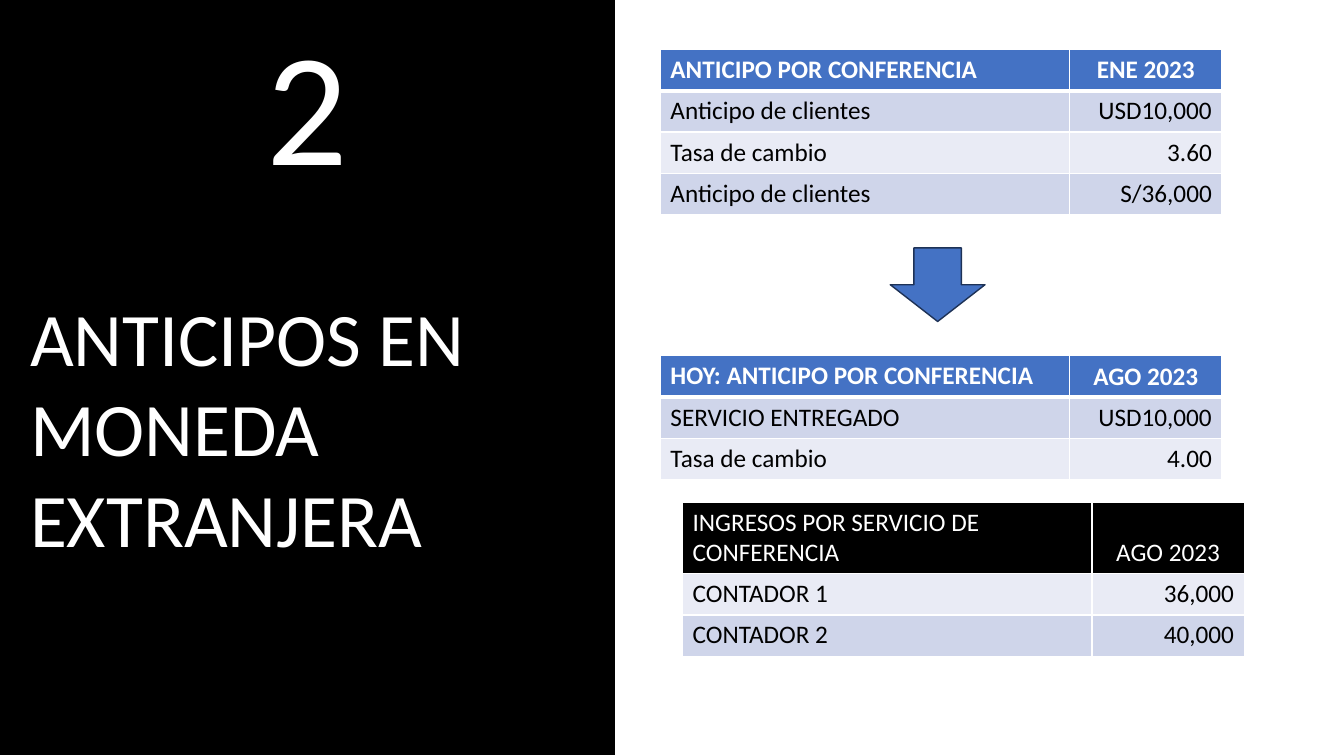
from pptx import Presentation
from pptx.dml.color import RGBColor
from pptx.enum.shapes import MSO_SHAPE as Shape
from pptx.enum.text import MSO_ANCHOR as Anchor, PP_ALIGN as Align
from pptx.oxml.ns import qn
from pptx.util import Inches, Pt
from lxml.etree import SubElement

# Content
NUMBER = "2"
TITLE = "ANTICIPOS EN MONEDA EXTRANJERA"
TABLES = [
    {"left": 6.55, "top": 0.49, "header": "blue", "bold": True, "rule": 3,
     "header_height": 0.41, "bands": ("band", "pale"),
     "rows": [("ANTICIPO POR CONFERENCIA", "ENE 2023"),
              ("Anticipo de clientes", "USD10,000"),
              ("Tasa de cambio", "3.60"),
              ("Anticipo de clientes", "S/36,000")]},
    {"left": 6.55, "top": 3.53, "header": "blue", "bold": True, "rule": 3,
     "header_height": 0.41, "bands": ("band", "pale"),
     "rows": [("HOY: ANTICIPO POR CONFERENCIA", "AGO 2023"),
              ("SERVICIO ENTREGADO", "USD10,000"),
              ("Tasa de cambio", "4.00")]},
    {"left": 6.77, "top": 4.98, "header": "black", "bold": False, "rule": 1,
     "header_height": 0.7, "bands": ("pale", "band"),
     "rows": [("INGRESOS POR SERVICIO DE CONFERENCIA", "AGO 2023"),
              ("CONTADOR 1", "36,000"),
              ("CONTADOR 2", "40,000")]},
]
COLUMNS = (4.06, 1.51)
ROW_HEIGHT = 0.41
FONT = "Calibri"
COLORS = {"black": "000000", "white": "FFFFFF", "blue": "4472C4",
          "outline": "1E3256", "band": "CFD5EA", "pale": "E9EBF5"}


def color(name):
    return RGBColor.from_string(COLORS[name])


def style(para, size, name, align, bold=False):
    para.alignment = align
    font = para.font
    font.name, font.size, font.bold = FONT, Pt(size), bold
    font.color.rgb = color(name)


def add_block(kind, left, top, width, height, fill):
    block = slide.shapes.add_shape(
        kind, Inches(left), Inches(top), Inches(width), Inches(height))
    block.shadow.inherit = False
    block.fill.solid()
    block.fill.fore_color.rgb = color(fill)
    return block


def add_borders(cell, top, bottom):
    properties = cell._tc.get_or_add_tcPr()
    for side, points in (("L", 1), ("R", 1), ("T", top), ("B", bottom)):
        line = SubElement(properties, qn(f"a:ln{side}"), w=str(Pt(points)))
        fill = SubElement(line, qn("a:solidFill"))
        SubElement(fill, qn("a:srgbClr"), val=COLORS["white"])


def add_ledger(ledger):
    rows = ledger["rows"]
    height = ledger["header_height"] + ROW_HEIGHT * (len(rows) - 1)
    table = slide.shapes.add_table(
        len(rows), len(COLUMNS), Inches(ledger["left"]), Inches(ledger["top"]),
        Inches(sum(COLUMNS)), Inches(height)).table
    for column, width in zip(table.columns, COLUMNS):
        column.width = Inches(width)
    for r, texts in enumerate(rows):
        is_header = r == 0
        table.rows[r].height = Inches(ledger["header_height"] if is_header else ROW_HEIGHT)
        fill = ledger["header"] if is_header else ledger["bands"][(r - 1) % 2]
        number_align = Align.CENTER if is_header else Align.RIGHT
        for c, text in enumerate(texts):
            cell = table.cell(r, c)
            cell.text = text
            add_borders(cell, ledger["rule"] if r == 1 else 1,
                        ledger["rule"] if is_header else 1)
            cell.fill.solid()
            cell.fill.fore_color.rgb = color(fill)
            if is_header and c == 1:
                cell.vertical_anchor = Anchor.BOTTOM
            style(cell.text_frame.paragraphs[0], 18,
                  "white" if is_header else "black",
                  number_align if c else Align.LEFT,
                  is_header and ledger["bold"])


deck = Presentation()
deck.slide_width, deck.slide_height = Inches(13.33), Inches(7.5)
slide = deck.slides.add_slide(deck.slide_layouts[6])

# Title panel
panel = add_block(Shape.RECTANGLE, 0, 0, 6.1, 7.49, "black")
panel.line.fill.background()
frame = panel.text_frame
frame.word_wrap = True
frame.vertical_anchor = Anchor.TOP
number = frame.paragraphs[0]
number.text = NUMBER
style(number, 115, "white", Align.CENTER)
title = frame.add_paragraph()
title.text = TITLE
title.space_before = Pt(66)
title._p.get_or_add_pPr().set("marL", str(Inches(0.2)))
style(title, 54, "white", Align.LEFT)

# Tables
for ledger in TABLES:
    add_ledger(ledger)

# Arrow between the two dates
arrow = add_block(Shape.DOWN_ARROW, 8.83, 2.46, 0.94, 0.73, "blue")
arrow.line.color.rgb = color("outline")
arrow.line.width = Pt(1)

deck.save("out.pptx")
